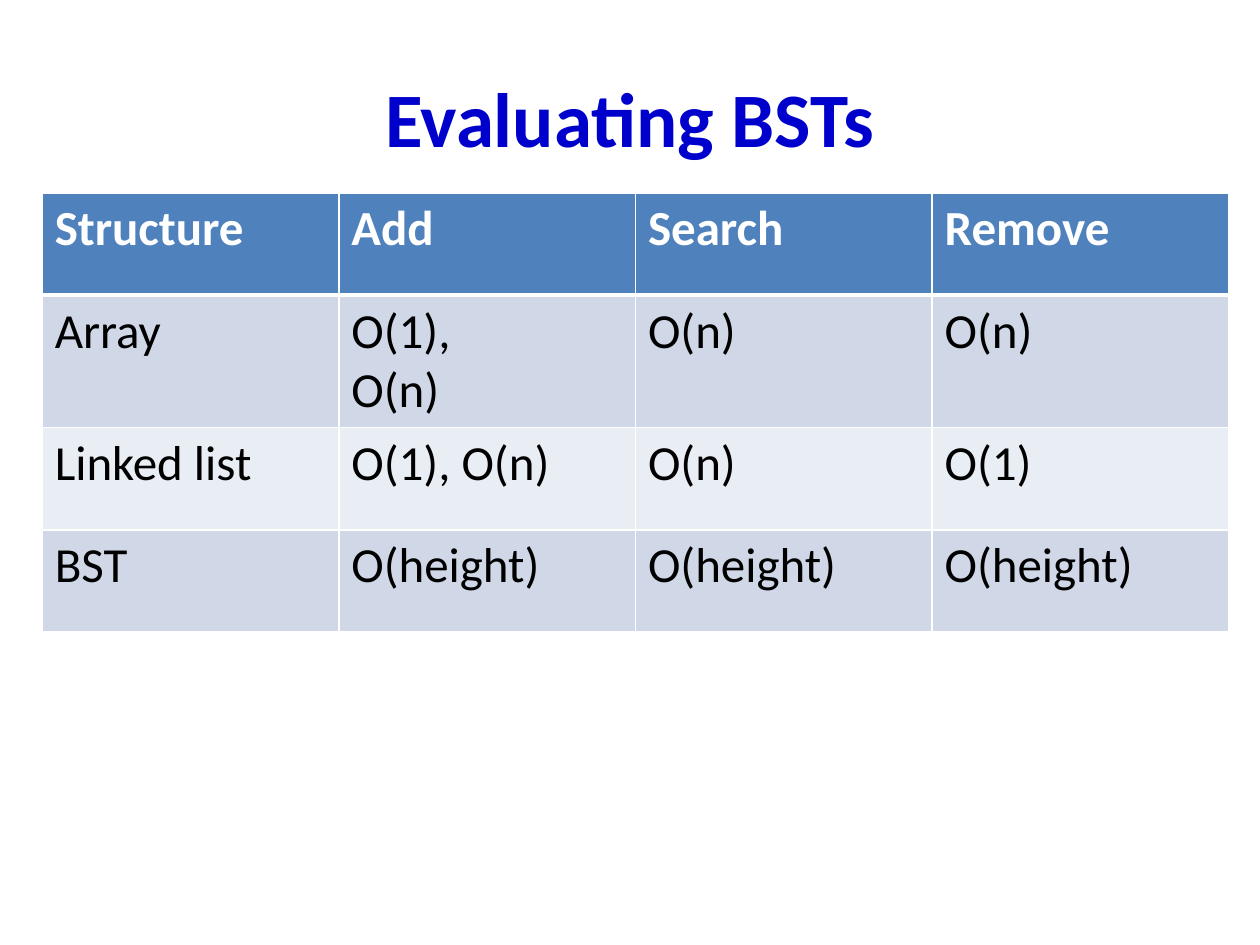
import dataclasses

import lxml.etree
import pptx
import pptx.dml.color
import pptx.enum.text
import pptx.oxml.ns
import pptx.util
from pptx.util import Cm


@dataclasses.dataclass(frozen=True)
class Theme:
    font: str = "Calibri"
    title: str = "0000CC"
    head: str = "4F81BD"
    bands: tuple = ("D0D8E8", "E9EDF4")
    white: str = "FFFFFF"
    black: str = "000000"
    big: int = 44
    body: int = 28


theme = Theme()


def style(frame, size, color, bold):
    for para in frame.paragraphs:
        for run in para.runs:
            run.font.name = theme.font
            run.font.size = pptx.util.Pt(size)
            run.font.bold = bold
            run.font.color.rgb = pptx.dml.color.RGBColor.from_string(color)


def edge(cell, side, width):
    """Draw one white cell border; side is L, R, T or B."""
    name = pptx.oxml.ns.qn
    props = cell._tc.get_or_add_tcPr()
    line = lxml.etree.SubElement(props, name(f"a:ln{side}"), w=str(pptx.util.Pt(width)))
    fill = lxml.etree.SubElement(line, name("a:solidFill"))
    lxml.etree.SubElement(fill, name("a:srgbClr"), val=theme.white)


deck = pptx.Presentation()
deck.slide_width = Cm(25.4)
deck.slide_height = Cm(19.05)
slide = deck.slides.add_slide(deck.slide_layouts[6])

# Title
title = slide.shapes.add_textbox(Cm(1.27), Cm(0.76), Cm(22.86), Cm(3.18)).text_frame
title.word_wrap = True
title.vertical_anchor = pptx.enum.text.MSO_ANCHOR.MIDDLE
title.text = "Evaluating BSTs"
title.paragraphs[0].alignment = pptx.enum.text.PP_ALIGN.CENTER
style(title, theme.big, theme.title, True)

# Cost table
rows = [
    ["Structure", "Add", "Search", "Remove"],
    ["Array", "O(1),\nO(n)", "O(n)", "O(n)"],
    ["Linked list", "O(1), O(n)", "O(n)", "O(1)"],
    ["BST", "O(height)", "O(height)", "O(height)"],
]
highs = [2.06, 2.67, 2.06, 2.06]
table = slide.shapes.add_table(
    len(rows), len(rows[0]), Cm(0.85), Cm(3.89), Cm(23.92), Cm(sum(highs))
).table
for col in table.columns:
    col.width = Cm(5.98)

for r, row in enumerate(rows):
    table.rows[r].height = Cm(highs[r])
    head = r == 0
    back = theme.head if head else theme.bands[(r - 1) % 2]
    for c, text in enumerate(row):
        cell = table.cell(r, c)
        cell.text_frame.text = text
        style(cell.text_frame, theme.body, theme.white if head else theme.black, head)
        for side in "LRTB":
            thick = (head and side == "B") or (r == 1 and side == "T")
            edge(cell, side, 3 if thick else 1)
        cell.fill.solid()
        cell.fill.fore_color.rgb = pptx.dml.color.RGBColor.from_string(back)

deck.save("out.pptx")
